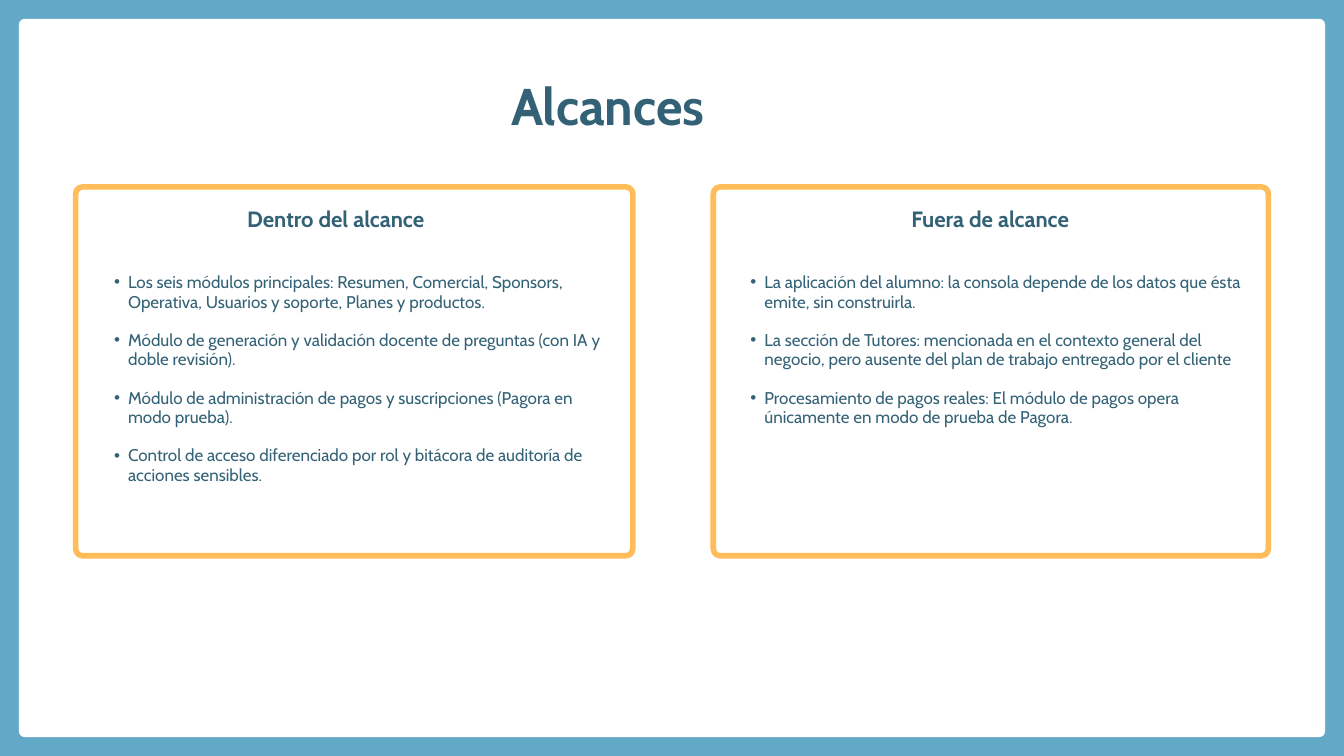
from dataclasses import dataclass

from lxml import etree
from pptx import Presentation
from pptx import util as u
from pptx.dml.color import RGBColor
from pptx.enum import shapes, text
from pptx.oxml import ns

PX = 9525  # EMU per px, 96 px to the inch
FONT = "Cabin"
COLORS = {"sky": "62A9C8", "white": "FFFFFF", "amber": "FFBD59", "ink": "336276"}
BULLET_LEADING = 20.6


@dataclass
class Box:
    x: int
    y: int
    w: int
    h: int

    def emu(self) -> list[int]:
        return [v * PX for v in (self.x, self.y, self.w, self.h)]


@dataclass
class Card:
    frame: Box
    heading_box: Box
    list_box: Box
    heading: str
    items: list[str]


CARDS = [
    Card(
        Box(108, 267, 796, 527), Box(209, 301, 541, 32), Box(142, 390, 729, 352),
        "Dentro del alcance",
        [
            "Los seis módulos principales: Resumen, Comercial, Sponsors, Operativa, "
            "Usuarios y soporte, Planes y productos.",
            "Módulo de generación y validación docente de preguntas (con IA y doble revisión).",
            "Módulo de administración de pagos y suscripciones (Pagora en modo prueba).",
            "Control de acceso diferenciado por rol y bitácora de auditoría de acciones sensibles.",
        ],
    ),
    Card(
        Box(1019, 267, 793, 527), Box(1144, 301, 541, 32), Box(1051, 390, 729, 325),
        "Fuera de alcance",
        [
            "La aplicación del alumno: la consola depende de los datos que ésta emite, "
            "sin construirla.",
            "La sección de Tutores: mencionada en el contexto general del negocio, pero "
            "ausente del plan de trabajo entregado por el cliente",
            "Procesamiento de pagos reales: El módulo de pagos opera únicamente en modo "
            "de prueba de Pagora.",
        ],
    ),
]


def rgb(name: str) -> RGBColor:
    return RGBColor.from_string(COLORS[name])


def add_panel(s, box: Box, radius: int, line: str | None = None):
    sp = s.shapes.add_shape(shapes.MSO_SHAPE.ROUNDED_RECTANGLE, *box.emu())
    sp.adjustments[0] = radius / min(box.w, box.h)
    sp.shadow.inherit = False
    sp.fill.solid()
    sp.fill.fore_color.rgb = rgb("white")
    if line:
        sp.line.color.rgb = rgb(line)
        sp.line.width = u.Pt(6)
    else:
        sp.line.fill.background()
    return sp


def set_text(sp, lines: list[str], size: float, leading: float,
             align=text.PP_ALIGN.LEFT, bold: bool = False) -> None:
    tf = sp.text_frame
    tf.text = "\n".join(lines)
    tf.word_wrap = True
    tf.auto_size = text.MSO_AUTO_SIZE.NONE
    tf.vertical_anchor = text.MSO_ANCHOR.TOP
    tf.margin_left = tf.margin_top = tf.margin_right = tf.margin_bottom = 0
    for p in tf.paragraphs:
        p.alignment = align
        p.line_spacing = u.Pt(leading)
        for r in p.runs:
            r.font.name = FONT
            r.font.size = u.Pt(size)
            r.font.bold = bold
            r.font.color.rgb = rgb("ink")


def add_bullets(tf) -> None:
    """Hang a bullet on each paragraph, one line of space apart."""
    for i, p in enumerate(tf.paragraphs):
        p.space_before = u.Pt(BULLET_LEADING if i else 0)
        pPr = p._p.get_or_add_pPr()
        pPr.set("marL", str(41 * PX))
        pPr.set("indent", str(-20 * PX))
        etree.SubElement(pPr, ns.qn("a:buFont"), typeface="Arial")
        etree.SubElement(pPr, ns.qn("a:buChar"), char="•")


def add_card(s, card: Card) -> None:
    add_panel(s, card.frame, 10, "amber")
    heading = s.shapes.add_textbox(*card.heading_box.emu())
    set_text(heading, [card.heading], 23.7, 22.3, text.PP_ALIGN.CENTER, bold=True)
    items = s.shapes.add_textbox(*card.list_box.emu())
    set_text(items, card.items, 18.2, BULLET_LEADING)
    add_bullets(items.text_frame)


def main() -> None:
    prs = Presentation()
    prs.slide_width, prs.slide_height = 1920 * PX, 1080 * PX
    s = prs.slides.add_slide(prs.slide_layouts[5])
    s.background.fill.solid()
    s.background.fill.fore_color.rgb = rgb("sky")

    title = s.shapes.title
    title.left, title.top, title.width, title.height = Box(730, 124, 642, 72).emu()
    set_text(title, ["Alcances"], 55.3, 52, bold=True)

    page = add_panel(s, Box(27, 27, 1866, 1026), 8)
    title.element.addprevious(page.element)  # the page lies behind the title
    for card in CARDS:
        add_card(s, card)
    prs.save("out.pptx")


if __name__ == "__main__":
    main()
